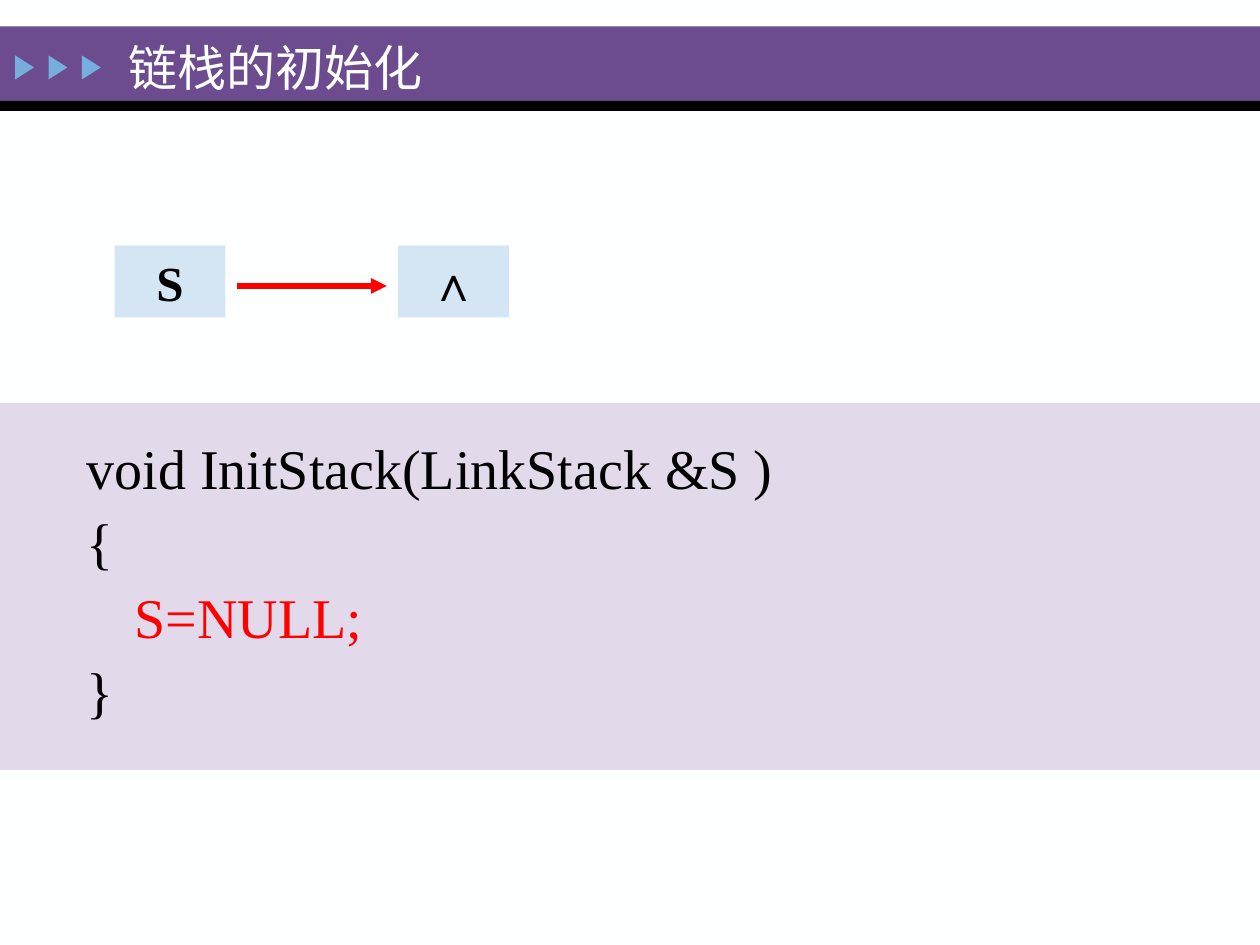
from typing import NamedTuple

from lxml import etree
from pptx import Presentation
from pptx import util as u
from pptx.dml.color import RGBColor
from pptx.enum import shapes, text

WIDE, HIGH = 10, 7.5
FONT = "Times New Roman"
BLACK, RED, WHITE = "000000", "FF0000", "FEFFFF"


class Area(NamedTuple):
    left: float
    top: float
    wide: float
    high: float


class Band(NamedTuple):
    top: float
    high: float
    fill: str


class Node(NamedTuple):
    left: float
    label: str


class Line(NamedTuple):
    label: str
    step: int = 0
    tint: str = BLACK


BANDS = [Band(0.21, 0.59, "6C4C8F"), Band(0.8, 0.08, BLACK), Band(3.2, 2.91, "E2D9EB")]
NODES = [Node(0.91, "S"), Node(3.16, "∧")]
CODE = [
    Line("void InitStack(LinkStack &S )"),
    Line("{"),
    Line("S=NULL;", 1, RED),
    Line("}"),
]
ROW = Area(0, 1.95, 0.88, 0.57)
STEP = 0.38


def color(code: str) -> RGBColor:
    return RGBColor.from_string(code)


def place(area: Area) -> list[int]:
    return [
        int(u.Inches(WIDE) * area.left / WIDE),
        int(u.Inches(HIGH) * area.top / HIGH),
        int(u.Inches(WIDE) * area.wide / WIDE),
        int(u.Inches(HIGH) * area.high / HIGH),
    ]


def write(para, label: str, size: float, tint: str, bold: bool = False) -> None:
    run = para.add_run()
    run.text = label
    run.font.name = FONT
    run.font.size = u.Pt(size)
    run.font.bold = bold
    run.font.color.rgb = color(tint)


def draw(slide, kind, area: Area, fill: str):
    shape = slide.shapes.add_shape(kind, *place(area))
    shape.shadow.inherit = False
    shape.fill.solid()
    shape.fill.fore_color.rgb = color(fill)
    shape.line.fill.background()
    return shape


def draw_band(slide, band: Band) -> None:
    draw(slide, shapes.MSO_SHAPE.RECTANGLE, Area(0, band.top, WIDE, band.high), band.fill)


def draw_marks(slide) -> None:
    for col in range(3):
        area = Area(0.1 + col * 0.265, 0.46, 0.19, 0.15)
        mark = draw(slide, shapes.MSO_SHAPE.ISOSCELES_TRIANGLE, area, "76AEDD")
        mark.rotation = 90


def draw_node(slide, node: Node) -> None:
    area = ROW._replace(left=node.left)
    box = draw(slide, shapes.MSO_SHAPE.RECTANGLE, area, "D4E6F4")
    frame = box.text_frame
    frame.vertical_anchor = text.MSO_ANCHOR.MIDDLE
    para = frame.paragraphs[0]
    para.alignment = text.PP_ALIGN.CENTER
    write(para, node.label, 28, BLACK, True)


def draw_arrow(slide) -> None:
    first, last = NODES
    gap = 0.09
    mid = u.Inches(2.27)
    start = u.Inches(first.left + ROW.wide + gap)
    end = u.Inches(last.left - gap)
    arrow = slide.shapes.add_connector(shapes.MSO_CONNECTOR.STRAIGHT, start, mid, end, mid)
    arrow.line.color.rgb = color(RED)
    arrow.line.width = u.Pt(3)
    space = "{http://schemas.openxmlformats.org/drawingml/2006/main}"
    etree.SubElement(arrow.line._get_or_add_ln(), space + "tailEnd", type="triangle")
    etree.SubElement(arrow._element.spPr, space + "effectLst")


def draw_code(slide) -> None:
    box = slide.shapes.add_textbox(*place(Area(0.59, 3.45, 7.12, 2.55)))
    frame = box.text_frame
    frame.word_wrap = True
    for row, line in enumerate(CODE):
        para = frame.add_paragraph() if row else frame.paragraphs[0]
        para.line_spacing = 0.9
        if row:
            para.space_before = u.Pt(8)
        para._p.get_or_add_pPr().set("marL", str(u.Inches(STEP * line.step)))
        write(para, line.label, 32, line.tint)


def set_title(slide, label: str) -> None:
    title = slide.shapes.title
    title.left, title.top, title.width, title.height = place(Area(0.92, 0.28, 7, 0.5))
    frame = title.text_frame
    frame.vertical_anchor = text.MSO_ANCHOR.MIDDLE
    para = frame.paragraphs[0]
    para.alignment = text.PP_ALIGN.LEFT
    write(para, label, 28, WHITE)
    tree = slide.shapes._spTree
    tree.remove(title._element)
    tree.append(title._element)


def main() -> None:
    deck = Presentation()
    deck.slide_width, deck.slide_height = u.Inches(WIDE), u.Inches(HIGH)
    slide = deck.slides.add_slide(deck.slide_layouts[5])
    back = slide.background.fill
    back.solid()
    back.fore_color.rgb = color(WHITE)
    for band in BANDS:
        draw_band(slide, band)
    draw_marks(slide)
    draw_code(slide)
    for node in NODES:
        draw_node(slide, node)
    draw_arrow(slide)
    set_title(slide, "链栈的初始化")
    deck.save("out.pptx")


if __name__ == "__main__":
    main()
